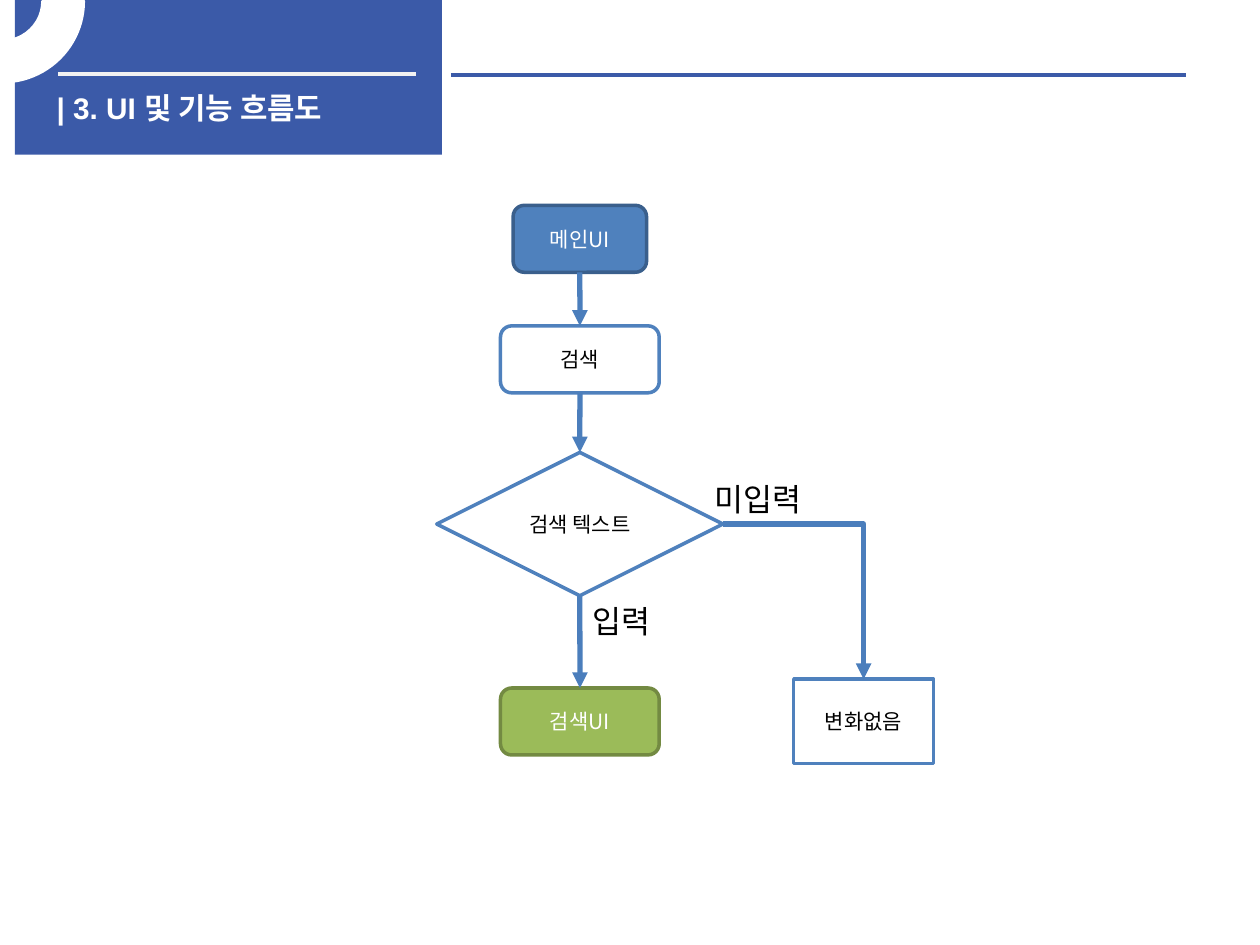
import pptx
import pptx.util
import pptx.dml.color
import pptx.enum.shapes
import pptx.enum.text
import pptx.oxml
import pptx.oxml.ns

Cm = pptx.util.Cm
Pt = pptx.util.Pt
KIND = pptx.enum.shapes.MSO_SHAPE
LINK = pptx.enum.shapes.MSO_CONNECTOR
ALIGN = pptx.enum.text.PP_ALIGN
ANCHOR = pptx.enum.text.MSO_ANCHOR
qn = pptx.oxml.ns.qn

# Content, in centimetres
FONT = "Noto Sans CJK KR"
NAVY, BLUE, WIRE = "3B5AA8", "4F81BD", "4B7EBC"
WHITE, BLACK = "FFFFFF", "000000"
ROUND = KIND.ROUNDED_RECTANGLE
MID, SIDE = 11.69, 17.41  # centres of the two columns

# name: kind, text, centre x, top, width, height, fill, line, text colour
NODES = {
    "main": (ROUND, "메인UI", MID, 4.14, 2.69, 1.35, BLUE, "3A5F8C", WHITE),
    "find": (ROUND, "검색", MID, 6.57, 3.2, 1.35, WHITE, BLUE, BLACK),
    "test": (KIND.FLOWCHART_DECISION, "검색 텍스트", MID, 9.12, 5.77, 2.89,
             WHITE, BLUE, BLACK),
    "result": (ROUND, "검색UI", MID, 13.87, 3.2, 1.35, "9BBB59", "738A42", WHITE),
    "same": (KIND.RECTANGLE, "변화없음", SIDE, 13.69, 2.82, 1.7, WHITE, BLUE, BLACK),
}
# from, side, to, side
FLOWS = [
    ("main", 2, "find", 0),
    ("find", 2, "test", 0),
    ("test", 2, "result", 0),
    ("test", 3, "same", 0),
]
LABELS = [("입력", 11.69, 12.01, 1.8), ("미입력", 14.15, 9.55, 2.44)]
RULES = [(1.17, 8.38, 1.5, "F2F2F2"), (9.09, 23.9, 1.52, NAVY)]  # x1, x2, y

deck = pptx.Presentation()
deck.slide_width, deck.slide_height = Cm(25.4), Cm(19.05)
slide = deck.slides.add_slide(deck.slide_layouts[6])
shapes = slide.shapes


def tint(code):
    return pptx.dml.color.RGBColor.from_string(code)


def node(tag, **attrs):
    part = pptx.oxml.parse_xml(f'<a:{tag} {pptx.oxml.ns.nsdecls("a")}/>')
    for key, value in attrs.items():
        part.set(key, value)
    return part


def write(shape, text, size=12, font=FONT, color=BLACK, bold=False,
          align=ALIGN.LEFT, anchor=ANCHOR.TOP, wrap=True):
    frame = shape.text_frame
    frame.word_wrap = wrap
    frame.vertical_anchor = anchor
    para = frame.paragraphs[0]
    para.alignment = align
    run = para.add_run()
    run.text = text
    run.font.size, run.font.bold, run.font.name = Pt(size), bold, font
    run.font.color.rgb = tint(color)
    latin = run.font._element.find(qn("a:latin"))
    latin.addnext(node("ea", typeface=FONT))


def block(kind, x, y, w, h, fill, line=None):
    shape = shapes.add_shape(kind, Cm(x), Cm(y), Cm(w), Cm(h))
    shape.shadow.inherit = False
    shape.fill.solid()
    shape.fill.fore_color.rgb = tint(fill)
    if line:
        shape.line.color.rgb = tint(line)
        shape.line.width = Pt(2)
    else:
        shape.line.fill.background()
    return shape


def wire(kind, x1, y1, x2, y2, color, width):
    link = shapes.add_connector(kind, Cm(x1), Cm(y1), Cm(x2), Cm(y2))
    link.line.color.rgb = tint(color)
    link.line.width = Pt(width)
    link._element.spPr.append(node("effectLst"))
    return link


# Header
block(KIND.RECTANGLE, 0.3, 0, 8.61, 3.12, NAVY)
for x1, x2, y, color in RULES:
    wire(LINK.STRAIGHT, x1, y, x2, y, color, 2.25)
ring = block(KIND.BLOCK_ARC, -1.6, -1.6, 3.28, 3.25, WHITE, WHITE)
ring.adjustments[0] = 96.95
ring.adjustments[1] = 0
ring.adjustments[2] = 0.25
ring._element.spPr.find(qn("a:xfrm")).set("flipV", "1")
title = shapes.add_textbox(Cm(0.89), Cm(1.68), Cm(10.36), Cm(1.63))
write(title, "| 3. UI 및 기능 흐름도", size=17, font="Arial", color=WHITE, bold=True)

# Flow steps
made = {}
for name, (kind, text, x, y, w, h, fill, line, ink) in NODES.items():
    made[name] = block(kind, x - w / 2, y, w, h, fill, line)
    write(made[name], text, color=ink, align=ALIGN.CENTER, anchor=ANCHOR.MIDDLE)

# Arrows between steps
for start, out, end, into in FLOWS:
    bent = out == 3
    link = wire(LINK.ELBOW if bent else LINK.STRAIGHT, 0, 0, 1, 1, WIRE, 3)
    link.begin_connect(made[start], out)
    link.end_connect(made[end], into)
    if bent:
        link._element.spPr.find(qn("a:prstGeom")).set("prst", "bentConnector2")
    link.line._get_or_add_ln().append(node("tailEnd", type="triangle"))

# Branch labels
for text, x, y, w in LABELS:
    label = shapes.add_textbox(Cm(x), Cm(y), Cm(w), Cm(1.02))
    write(label, text, size=18, wrap=False)

deck.save("out.pptx")
